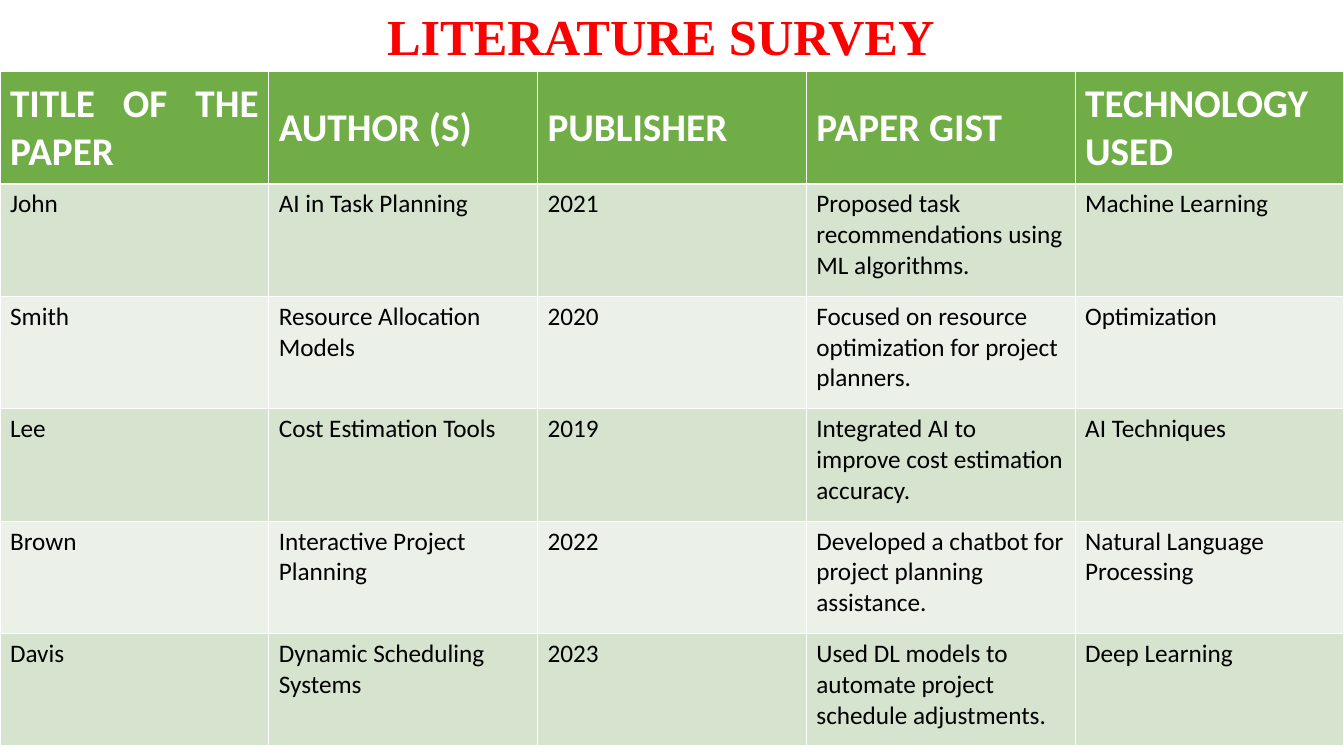
"""Build the literature survey slide: a title above a full-width table."""
from pptx import Presentation
from pptx.dml.color import RGBColor
from pptx.enum.text import MSO_ANCHOR, PP_ALIGN
from pptx.util import Inches, Pt

TITLE = "LITERATURE SURVEY"
HEADERS = ("TITLE OF THE PAPER", "AUTHOR (S)", "PUBLISHER", "PAPER GIST", "TECHNOLOGY USED")
PAPERS = [
    ("John", "AI in Task Planning", "2021",
     "Proposed task recommendations using ML algorithms.", "Machine Learning"),
    ("Smith", "Resource Allocation Models", "2020",
     "Focused on resource optimization for project planners.", "Optimization"),
    ("Lee", "Cost Estimation Tools", "2019",
     "Integrated AI to improve cost estimation accuracy.", "AI Techniques"),
    ("Brown", "Interactive Project Planning", "2022",
     "Developed a chatbot for project planning assistance.", "Natural Language Processing"),
    ("Davis", "Dynamic Scheduling Systems", "2023",
     "Used DL models to automate project schedule adjustments.", "Deep Learning"),
]

RED = RGBColor(0xFF, 0x00, 0x00)
WHITE = RGBColor(0xFF, 0xFF, 0xFF)
BLACK = RGBColor(0x00, 0x00, 0x00)
GREEN = RGBColor(0x70, 0xAD, 0x47)
BANDS = (RGBColor(0xD5, 0xE3, 0xCF), RGBColor(0xEB, 0xF1, 0xE9))

WIDTH, TABLE_TOP, TABLE_HEIGHT = 13.33, 0.71, 6.69


def style(p, font, size, color, bold, align):
    p.alignment = align
    for r in p.runs:
        r.font.name, r.font.size, r.font.bold = font, Pt(size), bold
        r.font.color.rgb = color


def add_title(s):
    title = s.shapes.title
    title.left, title.top = Inches(3.71), Inches(0)
    title.width, title.height = Inches(5.69), Inches(TABLE_TOP)
    tf = title.text_frame
    tf.text = TITLE
    tf.word_wrap = False
    tf.vertical_anchor = MSO_ANCHOR.TOP
    style(tf.paragraphs[0], "Times New Roman", 36, RED, True, PP_ALIGN.CENTER)


def add_survey(s):
    rows = [HEADERS, *PAPERS]
    table = s.shapes.add_table(len(rows), len(HEADERS), Inches(0), Inches(TABLE_TOP),
                               Inches(WIDTH), Inches(TABLE_HEIGHT)).table
    for i, row in enumerate(rows):
        for j, text in enumerate(row):
            cell = table.cell(i, j)
            cell.text = text
            cell.fill.solid()
            p = cell.text_frame.paragraphs[0]
            if i == 0:
                cell.fill.fore_color.rgb = GREEN
                cell.vertical_anchor = MSO_ANCHOR.MIDDLE
                style(p, "Calibri", 28, WHITE, True, PP_ALIGN.JUSTIFY)
            else:
                cell.fill.fore_color.rgb = BANDS[(i - 1) % 2]
                style(p, "Calibri", 18, BLACK, False, PP_ALIGN.LEFT)


def main():
    prs = Presentation()
    prs.slide_width, prs.slide_height = Inches(WIDTH), Inches(7.5)
    s = prs.slides.add_slide(prs.slide_layouts[5])
    add_title(s)
    add_survey(s)
    prs.save("out.pptx")


if __name__ == "__main__":
    main()
